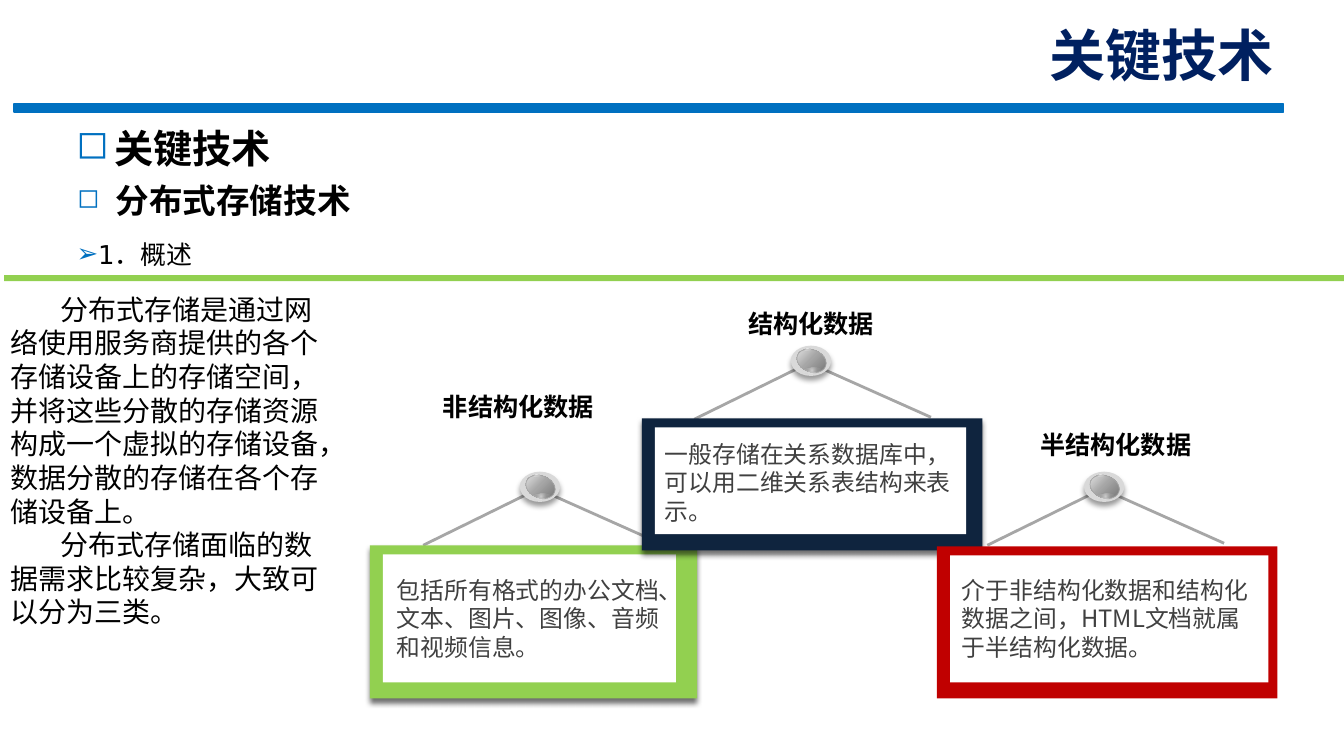
"""Build the slide on key technologies and the three kinds of stored data."""
import lxml.etree
import pptx
import pptx.dml.color
import pptx.enum.shapes
import pptx.enum.text
import pptx.oxml
import pptx.oxml.ns
import pptx.util


class Theme:
    blue, navy, green, red, dark = "0070C0", "002060", "92D050", "C00000", "0F243E"
    black, text, white, rim, line = "000000", "404040", "FFFFFF", "D9D9D9", "A6A6A6"
    title, heading, subheading, body, topic, label, note = 40, 28, 24, 20, 18.5, 18, 17
    cjk, latin, sans, mono = "Noto Sans CJK SC", "Lato", "Arial", "DejaVu Sans"
    leading = 1.2


qn = pptx.oxml.ns.qn
rgb = pptx.dml.color.RGBColor.from_string
ALIGN = pptx.enum.text.PP_ALIGN
SHAPE = pptx.enum.shapes.MSO_SHAPE
NAMESPACE = 'xmlns:a="http://schemas.openxmlformats.org/drawingml/2006/main"'

deck = pptx.Presentation()
deck.slide_width, deck.slide_height = pptx.util.Inches(13.34), pptx.util.Inches(7.5)
page = deck.slides.add_slide(deck.slide_layouts[3])
cell = deck.slide_height // 75


def add_block(kind, area, fill=None, shadow=0):
    """Add a borderless shape whose area is given in grid cells."""
    block = page.shapes.add_shape(kind, *[round(length * cell) for length in area])
    block.shadow.inherit = False
    block.line.fill.background()
    if fill:
        block.fill.solid()
        block.fill.fore_color.rgb = rgb(fill)
    if shadow:
        effects = block._element.spPr.find(qn("a:effectLst"))
        effects.append(pptx.oxml.parse_xml(
            f'<a:outerShdw {NAMESPACE} blurRad="50800" dist="38100" dir="5400000" algn="t" rotWithShape="0">'
            f'<a:srgbClr val="{Theme.black}"><a:alpha val="{shadow}000"/></a:srgbClr></a:outerShdw>'))
    return block


def write(box, area, texts, size, font=Theme.cjk, color=Theme.black, bold=False,
          align=ALIGN.LEFT, leading=Theme.leading, margin=0, indent=0, bullet=None, bullet_size=100):
    """Place a text box on the grid and fill it with paragraphs."""
    box.left, box.top, box.width, box.height = [round(length * cell) for length in area]
    frame = box.text_frame
    frame.word_wrap = True
    frame.auto_size = pptx.enum.text.MSO_AUTO_SIZE.NONE
    for number, text in enumerate(texts):
        para = frame.add_paragraph() if number else frame.paragraphs[0]
        para.alignment = align
        para.space_before = pptx.util.Pt(0)
        para.line_spacing = pptx.util.Pt(size * leading)
        properties = para._p.get_or_add_pPr()
        properties.set("marL", str(round(margin * cell)))
        properties.set("indent", str(round(indent * cell)))
        if bullet:
            tint = lxml.etree.SubElement(properties, qn("a:buClr"))
            lxml.etree.SubElement(tint, qn("a:srgbClr"), val=Theme.blue)
            lxml.etree.SubElement(properties, qn("a:buSzPct"), val=f"{bullet_size}000")
            lxml.etree.SubElement(properties, qn("a:buChar"), char=bullet)
        else:
            lxml.etree.SubElement(properties, qn("a:buNone"))
        span = para.add_run()
        span.text = text
        span.font.size = pptx.util.Pt(size)
        span.font.bold = bold
        span.font.color.rgb = rgb(color)
        span.font.name = font
        lxml.etree.SubElement(span._r.get_or_add_rPr(), qn("a:ea"), typeface=Theme.cjk)


title, story, topic = page.placeholders
write(title, (64.1, 3.4, 63.3, 5.8), ["关键技术"], Theme.title, Theme.latin, Theme.navy, True, ALIGN.RIGHT)
title.text_frame.vertical_anchor = pptx.enum.text.MSO_ANCHOR.BOTTOM
write(story, (0, 28.5, 33.2, 45.7), [
    "分布式存储是通过网络使用服务商提供的各个存储设备上的存储空间，并将这些分散的存储资源构成一个虚拟的存储设备，数据分散的存储在各个存储设备上。",
    "分布式存储面临的数据需求比较复杂，大致可以分为三类。",
], Theme.body, Theme.sans, indent=5)
write(topic, (6.6, 22.5, 22.5, 5.1), ["1．概述"], Theme.topic, Theme.mono,
      leading=1.45, margin=2.1, indent=-2.1, bullet="➢")

for area, text, size, bullet_size in [
    ((6.6, 11.8, 30, 5.7), "关键技术", Theme.heading, 100),
    ((6.7, 17.4, 30, 5), "分布式存储技术", Theme.subheading, 80),
]:
    write(page.shapes.add_textbox(0, 0, 0, 0), area, [text], size, bold=True,
          margin=3.8, indent=-3.8, bullet="◻", bullet_size=bullet_size)

title_rule = add_block(SHAPE.RECTANGLE, (1.4, 10.3, 126, 0.8), Theme.blue)
title_rule.line.color.rgb = rgb(Theme.blue)
title_rule.line.width = pptx.util.Pt(1)
add_block(SHAPE.RECTANGLE, (0.4, 27.3, 133.4, 0.6), Theme.green)

centre_path = '<a:path path="circle"><a:fillToRect l="50000" t="50000" r="50000" b="50000"/></a:path>'
corner_path = '<a:path path="circle"><a:fillToRect r="100000" b="100000"/></a:path>'
knob_parts = [
    ((0.55, 0.4, 3, 2.2), 21.1, [(0, "F2F2F2", 100), (47, "A6A6A6", 100), (82, "808080", 100)], corner_path),
    ((1.2, 2.2, 1.8, 0.5), 356.5, [(0, "FFFFFF", 55), (50, "D7D7D7", 12), (100, "FFFFFF", 0)], centre_path),
    ((1.3, 0.5, 1.7, 0.7), 36.3, [(0, "FFFFFF", 0), (16, "FFFFFF", 51), (30, "FFFFFF", 0)],
     '<a:lin ang="2700000" scaled="0"/>'),
]

cards = [
    ("非结构化数据", (42, 38.3, 18.9, 4), "包括所有格式的办公文档、文本、图片、图像、音频和视频信息。",
     (38.4, 56.6, 28.3, 9.6), (53.4, 48.5), (36.7, 54.1, 32.5, 15.2), 29.1, Theme.green, 57),
    ("结构化数据", (73, 30.1, 15, 4), "一般存储在关系数据库中，可以用二维关系表结构来表示。",
     (65, 43.1, 31.6, 9.6), (80.3, 36), (63.7, 41.5, 33.8, 13.1), 30.9, Theme.dark, 57),
    ("半结构化数据", (101.7, 42.1, 18.1, 4), "介于非结构化数据和结构化数据之间，HTML文档就属于半结构化数据。",
     (94.5, 56.6, 31.4, 9.6), (109.4, 48.5), (93, 54.2, 33.8, 15.1), 31.6, Theme.red, 0),
]
for label, label_area, note, note_area, (peak_x, peak_y), frame_area, pane_width, color, shadow in cards:
    roof = [(round((peak_x + across) * cell), round((peak_y + down) * cell))
            for across, down in [(-11.4, 5.6), (0, 0), (12.1, 5.4)]]
    builder = page.shapes.build_freeform(*roof[0])
    builder.add_line_segments(roof[1:], close=False)
    strings = builder.convert_to_shape()
    strings.shadow.inherit = False
    strings.fill.background()
    strings.line.color.rgb = rgb(Theme.line)
    strings.line.width = pptx.util.Pt(2)

    knob_left, knob_top = peak_x - 1.8, peak_y - 1.7
    add_block(SHAPE.OVAL, (knob_left, knob_top, 4, 3), Theme.rim, 40)
    for (left, top, width, height), angle, stops, direction in knob_parts:
        part = add_block(SHAPE.OVAL, (knob_left + left, knob_top + top, width, height))
        part.rotation = angle
        stop_list = "".join(
            f'<a:gs pos="{share}000"><a:srgbClr val="{tone}"><a:alpha val="{opacity}000"/></a:srgbClr></a:gs>'
            for share, tone, opacity in stops)
        part._element.spPr.find(qn("a:prstGeom")).addnext(pptx.oxml.parse_xml(
            f'<a:gradFill {NAMESPACE} rotWithShape="1"><a:gsLst>{stop_list}</a:gsLst>{direction}</a:gradFill>'))
        if direction == corner_path:
            part.line.color.rgb = rgb(Theme.line)
            part.line.width = pptx.util.Pt(0.5)

    left, top, width, height = frame_area
    add_block(SHAPE.RECTANGLE, frame_area, color, shadow)
    add_block(SHAPE.RECTANGLE, (left + 1.3, top + 0.9, pane_width, height - 2.5), Theme.white)
    write(page.shapes.add_textbox(0, 0, 0, 0), label_area, [label], Theme.label, bold=True, align=ALIGN.CENTER)
    write(page.shapes.add_textbox(0, 0, 0, 0), note_area, [note], Theme.note, color=Theme.text)

deck.save("out.pptx")
